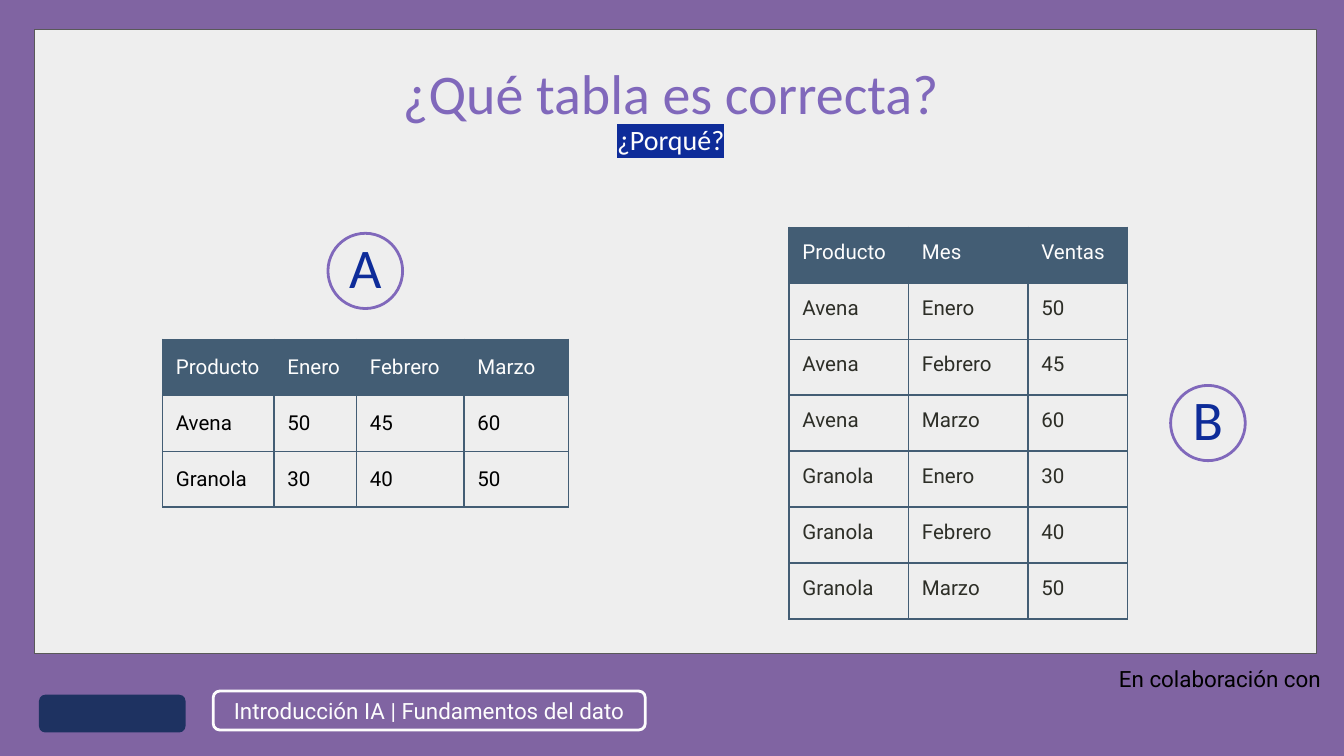
from lxml import etree
from pptx import Presentation
from pptx.dml.color import RGBColor
from pptx.enum.shapes import MSO_SHAPE
from pptx.enum.text import MSO_ANCHOR, PP_ALIGN
from pptx.oxml.ns import qn
from pptx.util import Pt

RECTANGLE = MSO_SHAPE.RECTANGLE
ROUNDED = MSO_SHAPE.ROUNDED_RECTANGLE
OVAL = MSO_SHAPE.OVAL
TOP = MSO_ANCHOR.TOP
MIDDLE = MSO_ANCHOR.MIDDLE
LEFT = PP_ALIGN.LEFT
CENTER = PP_ALIGN.CENTER

COLORS = {
    "purple": "8064A2",
    "panel": "EEEEEE",
    "panel_edge": "595959",
    "accent": "8068BB",
    "blue": "0E2C99",
    "white": "FDFDFD",
    "slate": "435D74",
    "black": "000000",
    "charcoal": "2D2E27",
    "navy": "1E3261",
}


def rgb(name):
    return RGBColor.from_string(COLORS[name])


def write(frame, text, size=12, font="Roboto", color="black", align=LEFT, spacing=None,
          highlight=None, append=False, anchor=TOP, inset=7.2):
    frame.word_wrap = True
    frame.vertical_anchor = anchor
    frame.margin_left = frame.margin_right = Pt(inset)
    frame.margin_top = frame.margin_bottom = Pt(inset)
    paragraph = frame.add_paragraph() if append else frame.paragraphs[0]
    paragraph.alignment = align
    if spacing:
        paragraph.line_spacing = spacing
    run = paragraph.add_run()
    run.text = text
    run.font.size = Pt(size)
    run.font.name = font
    run.font.bold = False
    run.font.color.rgb = rgb(color)
    if highlight:
        mark = etree.Element(qn("a:highlight"))
        etree.SubElement(mark, qn("a:srgbClr"), val=COLORS[highlight])
        run.font._element.find(qn("a:solidFill")).addnext(mark)


class Deck:
    def __init__(self, width, height):
        self.presentation = Presentation()
        self.presentation.slide_width = Pt(width)
        self.presentation.slide_height = Pt(height)
        self.slide = self.presentation.slides.add_slide(self.presentation.slide_layouts[6])
        self.slide.background.fill.solid()
        self.slide.background.fill.fore_color.rgb = rgb("black")

    def shape(self, kind, left, top, width, height, fill=None, line=None, weight=1.5):
        figure = self.slide.shapes.add_shape(kind, Pt(left), Pt(top), Pt(width), Pt(height))
        figure.shadow.inherit = False
        if fill:
            figure.fill.solid()
            figure.fill.fore_color.rgb = rgb(fill)
        else:
            figure.fill.background()
        if line:
            figure.line.color.rgb = rgb(line)
            figure.line.width = Pt(weight)
        else:
            figure.line.fill.background()
        return figure

    def text(self, text, left, top, width, height, **style):
        box = self.slide.shapes.add_textbox(Pt(left), Pt(top), Pt(width), Pt(height))
        write(box.text_frame, text, **style)
        return box.text_frame

    def badge(self, letter, left, top):
        self.shape(OVAL, left, top, 40, 40.3, line="accent")
        self.text(letter, left + 2.4, top - 3.6, 35.2, 47.5, size=30, font="Calibri",
                  color="blue", align=CENTER, spacing=0.9)

    def border(self, cell):
        properties = cell._tc.get_or_add_tcPr()
        for position, side in enumerate(("a:lnL", "a:lnR", "a:lnT", "a:lnB")):
            edge = etree.Element(qn(side), w=str(Pt(0.75)))
            fill = etree.SubElement(edge, qn("a:solidFill"))
            etree.SubElement(fill, qn("a:srgbClr"), val=COLORS["slate"])
            properties.insert(position, edge)

    def table(self, rows, left, top, widths, row_height, body_color, anchor):
        grid = self.slide.shapes.add_table(
            len(rows), len(widths), Pt(left), Pt(top),
            Pt(sum(widths)), Pt(row_height * len(rows))).table
        grid.first_row = grid.horz_banding = False
        for column, width in zip(grid.columns, widths):
            column.width = Pt(width)
        for r, values in enumerate(rows):
            grid.rows[r].height = Pt(row_height)
            for c, value in enumerate(values):
                cell = grid.cell(r, c)
                cell.margin_left = cell.margin_right = Pt(7.2)
                cell.margin_top = cell.margin_bottom = Pt(7.2)
                if r == 0:
                    cell.fill.solid()
                    cell.fill.fore_color.rgb = rgb("slate")
                else:
                    cell.fill.background()
                write(cell.text_frame, value, size=11, color=body_color if r else "white")
                cell.vertical_anchor = anchor
                self.border(cell)


def main():
    months = ["Enero", "Febrero", "Marzo"]
    sales = {"Avena": ["50", "45", "60"], "Granola": ["30", "40", "50"]}
    wide_rows = [["Producto", *months]]
    wide_rows += [[product, *amounts] for product, amounts in sales.items()]
    long_rows = [["Producto", "Mes", "Ventas"]]
    long_rows += [[product, month, amount] for product, amounts in sales.items()
                  for month, amount in zip(months, amounts)]

    deck = Deck(720, 405)
    deck.shape(RECTANGLE, 0, 0, 720, 405, fill="purple")
    deck.shape(RECTANGLE, 18.4, 15.8, 687, 334, fill="panel", line="panel_edge", weight=0.38)
    deck.text("En colaboración con", 592.4, 352.8, 122.4, 18.7, align=CENTER, inset=3.6)
    deck.shape(ROUNDED, 20.9, 372.2, 78.5, 20.2, fill="navy")

    heading = deck.text("¿Qué tabla es correcta?", 86.4, 28.1, 545.8, 63.4, size=30,
                        font="Calibri", color="accent", align=CENTER, spacing=0.9)
    write(heading, "¿Porqué?", size=15, font="Calibri", color="white", align=CENTER,
          spacing=0.9, highlight="blue", append=True)

    deck.table(wide_rows, 87, 181.7, [59.8, 44.2, 57.6, 56], 30, "black", MIDDLE)
    deck.table(long_rows, 422.7, 121.7, [64, 64, 53.3], 30, "charcoal", TOP)
    deck.badge("A", 175.7, 125)
    deck.badge("B", 627.1, 206.5)

    course = deck.shape(ROUNDED, 114.2, 370.2, 231.5, 20.9, line="white")
    course.adjustments[0] = 0.17
    write(course.text_frame, "Introducción IA | Fundamentos del dato", color="white",
          align=CENTER, anchor=MIDDLE)
    deck.presentation.save("out.pptx")


if __name__ == "__main__":
    main()
